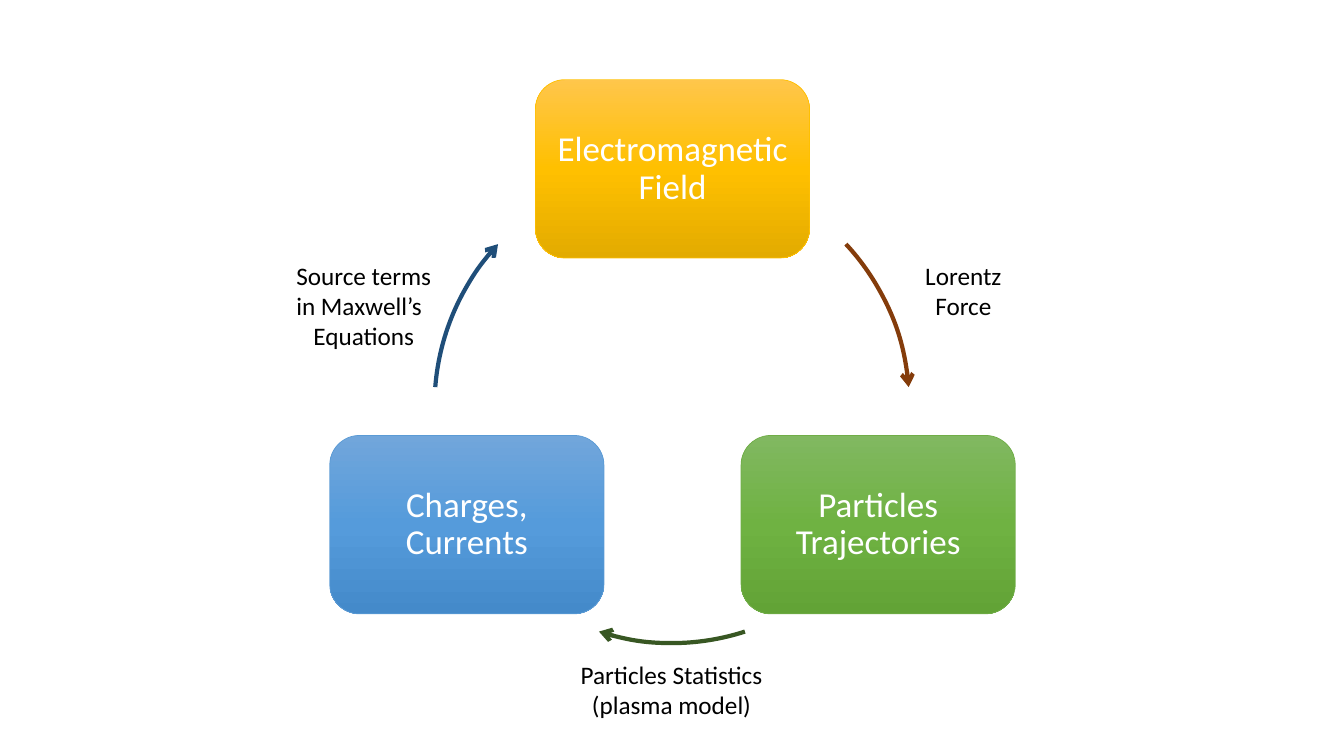
from copy import deepcopy
from dataclasses import dataclass

from pptx import Presentation
from pptx.dml.color import RGBColor
from pptx.enum.shapes import MSO_SHAPE
from pptx.enum.text import MSO_ANCHOR, MSO_AUTO_SIZE, PP_ALIGN
from pptx.oxml.ns import qn
from pptx.util import Inches, Pt

ROUND_RECT, ARC = MSO_SHAPE.ROUNDED_RECTANGLE, MSO_SHAPE.ARC
LEFT, CENTER = PP_ALIGN.LEFT, PP_ALIGN.CENTER
MIDDLE = MSO_ANCHOR.MIDDLE
GROW = MSO_AUTO_SIZE.SHAPE_TO_FIT_TEXT

FONT = "Calibri"
BOX_W, BOX_H = 2.72, 1.77
RING_X, RING_Y, RING_SIZE = 4.31, 1.67, 4.71


@dataclass
class Box:
    text: str
    x: float
    y: float
    gradient: tuple[str, str, str]
    line: str


@dataclass
class Arrow:
    start: float  # degrees, clockwise from the right
    end: float
    color: str


@dataclass
class Label:
    x: float
    y: float
    w: float
    h: float
    paragraphs: list[tuple[str, PP_ALIGN]]


BOXES = [
    Box("Electromagnetic Field", 5.31, 0.79, ("FFC64B", "FFC000", "E3AB00"), "FFC000"),
    Box("Particles Trajectories", 7.35, 4.32, ("81B861", "6FB242", "62A336"), "70AD47"),
    Box("Charges, Currents", 3.27, 4.32, ("71A6DB", "559BDB", "448ACA"), "5B9BD5"),
]
ARROWS = [
    Arrow(317.1, 355.5, "843C0B"),
    Arrow(72.1, 107.9, "385723"),
    Arrow(184.5, 222.9, "1F4E79"),
]
LABELS = [
    Label(2.84, 2.53, 1.61, 1.01,
          [("Source terms\vin Maxwell’s", LEFT), ("Equations", CENTER)]),
    Label(9.07, 2.53, 0.97, 0.71, [("Lorentz\vForce", CENTER)]),
    Label(5.65, 6.49, 2.02, 0.71,
          [("Particles Statistics", CENTER), ("(plasma model)", CENTER)]),
]


def rgb(color: str) -> RGBColor:
    return RGBColor.from_string(color)


def style(p, size: float, color: str, align: PP_ALIGN) -> None:
    p.alignment = align
    p.font.name = FONT
    p.font.size = Pt(size)
    p.font.color.rgb = rgb(color)


def fill_gradient(sp, colors: tuple[str, str, str]) -> None:
    sp.fill.gradient()
    sp.fill.gradient_angle = 270
    stop_list = sp._element.spPr.find(qn("a:gradFill")).find(qn("a:gsLst"))
    stop_list.append(deepcopy(stop_list[-1]))
    for i, (stop, color) in enumerate(zip(sp.fill.gradient_stops, colors)):
        stop.position = i / 2
        stop.color.rgb = rgb(color)


def add_box(s, box: Box) -> None:
    sp = s.shapes.add_shape(ROUND_RECT, Inches(box.x), Inches(box.y),
                            Inches(BOX_W), Inches(BOX_H))
    sp.shadow.inherit = False
    fill_gradient(sp, box.gradient)
    sp.line.color.rgb = rgb(box.line)
    sp.line.width = Pt(0.5)
    tf = sp.text_frame
    tf.word_wrap = True
    tf.vertical_anchor = MIDDLE
    tf.margin_left = tf.margin_right = tf.margin_top = tf.margin_bottom = Inches(0.1)
    p = tf.paragraphs[0]
    p.text = box.text
    p.line_spacing = 0.9
    style(p, 25, "FFFFFF", CENTER)


def add_arrow(s, arrow: Arrow) -> None:
    sp = s.shapes.add_shape(ARC, Inches(RING_X), Inches(RING_Y),
                            Inches(RING_SIZE), Inches(RING_SIZE))
    sp.shadow.inherit = False
    # Adjustments count 100000 units; angles count 60000 per degree
    sp.adjustments[0] = arrow.start * 0.6
    sp.adjustments[1] = arrow.end * 0.6
    sp.fill.background()
    sp.line.color.rgb = rgb(arrow.color)
    sp.line.width = Pt(3)
    ln = sp._element.spPr.find(qn("a:ln"))
    ln.append(ln.makeelement(qn("a:tailEnd"), {"type": "arrow"}))


def add_label(s, label: Label) -> None:
    tb = s.shapes.add_textbox(Inches(label.x), Inches(label.y),
                              Inches(label.w), Inches(label.h))
    tf = tb.text_frame
    tf.word_wrap = False
    tf.auto_size = GROW
    for i, (text, align) in enumerate(label.paragraphs):
        p = tf.add_paragraph() if i else tf.paragraphs[0]
        p.text = text
        style(p, 18, "000000", align)


def main() -> None:
    prs = Presentation()
    prs.slide_width, prs.slide_height = Inches(13.33), Inches(7.5)
    s = prs.slides.add_slide(prs.slide_layouts[6])

    # Cycle of boxes, each followed by its arrow
    for box, arrow in zip(BOXES, ARROWS):
        add_box(s, box)
        add_arrow(s, arrow)

    # Captions beside the arrows
    for label in LABELS:
        add_label(s, label)

    prs.save("out.pptx")


if __name__ == "__main__":
    main()
